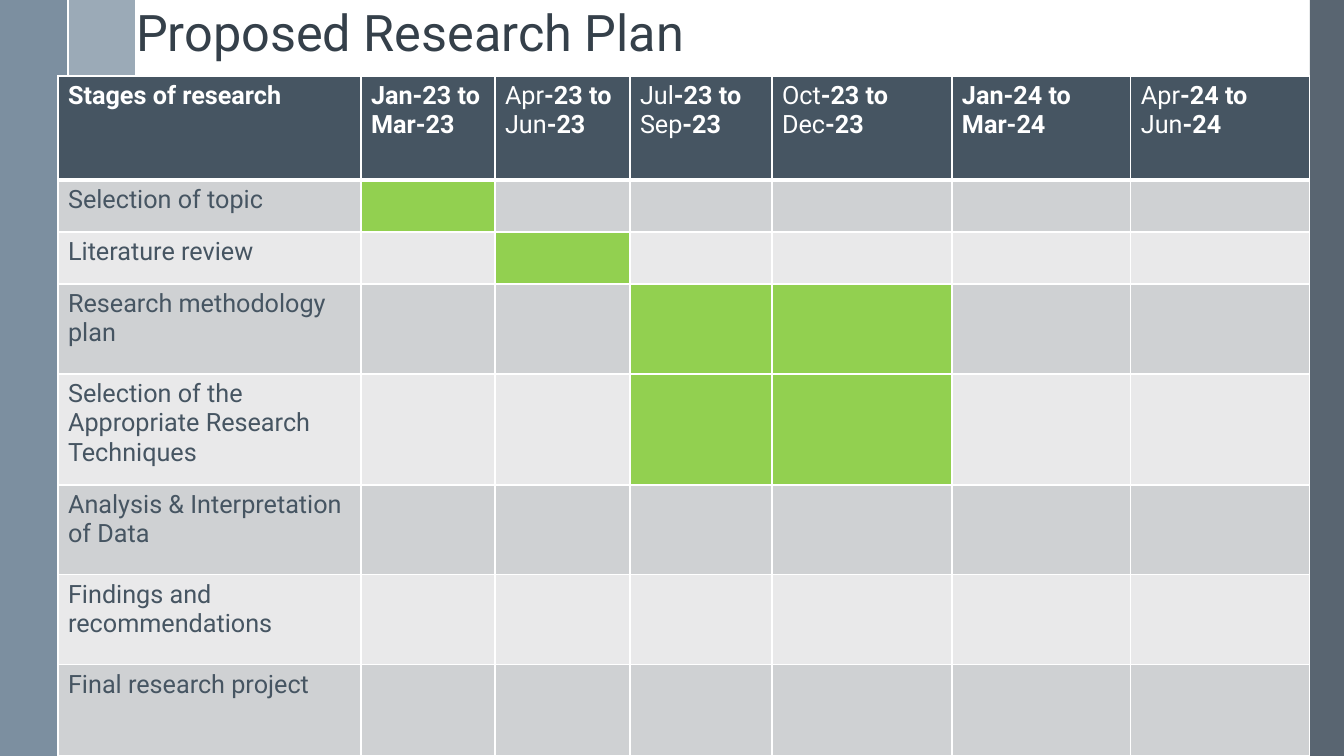
from lxml import etree
from pptx import Presentation
from pptx.dml.color import RGBColor
from pptx.enum.dml import MSO_THEME_COLOR
from pptx.enum.shapes import MSO_CONNECTOR, MSO_SHAPE
from pptx.enum.text import MSO_ANCHOR, MSO_AUTO_SIZE, PP_ALIGN
from pptx.oxml.ns import qn
from pptx.util import Pt

RECT = MSO_SHAPE.RECTANGLE
STRAIGHT = MSO_CONNECTOR.STRAIGHT
BOTTOM = MSO_ANCHOR.BOTTOM
LEFT = PP_ALIGN.LEFT
NO_FIT = MSO_AUTO_SIZE.NONE

SCALE = 914400 / 100.8  # EMU in one px
WIDE, HIGH = 1344, 756
FONT = "Roboto"

WHITE = RGBColor(0xFF, 0xFF, 0xFF)
INK = RGBColor(0x35, 0x40, 0x4A)
HEAD = RGBColor(0x46, 0x55, 0x62)
SLATE = RGBColor(0x47, 0x55, 0x62)
STEEL = RGBColor(0x6A, 0x80, 0x93)
MIST = RGBColor(0x9B, 0xAA, 0xB7)
DARK = RGBColor(0xCF, 0xD1, 0xD3)
LIGHT = RGBColor(0xE9, 0xE9, 0xEA)
GREEN = RGBColor(0x92, 0xD0, 0x50)

COLS = [303, 134, 135, 142, 180, 179, 179]
HEAD_HIGH = 104

# First month, last month, year
SPANS = [
    ("Jan", "Mar", 23), ("Apr", "Jun", 23), ("Jul", "Sep", 23),
    ("Oct", "Dec", 23), ("Jan", "Mar", 24), ("Apr", "Jun", 24),
]

# Stage, row height, columns in which it is active
STAGES = [
    ("Selection of topic", 52, [1]),
    ("Literature review", 52, [2]),
    ("Research methodology plan", 90, [3, 4]),
    ("Selection of the Appropriate Research Techniques", 111, [3, 4]),
    ("Analysis & Interpretation of Data", 90, []),
    ("Findings and recommendations", 90, []),
    ("Final research project", 91, []),
]


def px(num):
    return round(num * SCALE)


def style(run, size, color, bold=False):
    font = run.font
    font.name = FONT
    font.size = Pt(size)
    font.bold = bold
    font.color.rgb = color


def add_band(slide, left, width, color, alpha=100):
    band = slide.shapes.add_shape(RECT, px(left), 0, px(width), px(HIGH))
    band.shadow.inherit = False
    band.fill.solid()
    band.fill.fore_color.rgb = color
    band.line.fill.background()
    if alpha < 100:
        tint = band.fill._xPr.find(".//" + qn("a:srgbClr"))
        etree.SubElement(tint, qn("a:alpha"), val=str(alpha * 1000))


def add_rule(slide, left):
    rule = slide.shapes.add_connector(STRAIGHT, px(left), 0, px(left), px(HIGH))
    rule.line.color.rgb = WHITE
    rule.line.width = Pt(1.5)
    etree.SubElement(rule._element.spPr, qn("a:effectLst"))


def set_title(slide, text):
    title = slide.shapes.title
    title.left, title.top = px(126), px(-69)
    title.width, title.height = px(1079), px(137)
    frame = title.text_frame
    frame.text = text
    frame.word_wrap = True
    frame.auto_size = NO_FIT
    frame.vertical_anchor = BOTTOM
    para = frame.paragraphs[0]
    para.alignment = LEFT
    para.line_spacing = 0.9
    style(para.runs[0], 36, INK)


def set_cell(cell, fill, top=1, base=1):
    # Borders must come before the fill
    props = cell._tc.get_or_add_tcPr()
    for side, width in (("L", 1), ("R", 1), ("T", top), ("B", base)):
        edge = etree.SubElement(props, qn("a:ln" + side), w=str(Pt(width)))
        solid = etree.SubElement(edge, qn("a:solidFill"))
        etree.SubElement(solid, qn("a:srgbClr"), val=str(WHITE))
    cell.fill.solid()
    cell.fill.fore_color.rgb = fill


def add_parts(cell, parts, color):
    para = cell.text_frame.paragraphs[0]
    for text, bold in parts:
        run = para.add_run()
        run.text = text
        style(run, 18, color, bold)


def span_parts(first, last, year):
    # Only the January quarters have bold month names
    bold = first == "Jan"
    if bold:
        return [(f"{first}-{year} to {last}-{year}", True)]
    return [(first, bold), (f"-{year} to ", True), (last, bold), (f"-{year}", True)]


def add_plan(slide):
    highs = [HEAD_HIGH] + [high for _, high, _ in STAGES]
    frame = slide.shapes.add_table(
        len(highs), len(COLS), px(58), px(76), px(sum(COLS)), px(sum(highs)))
    table = frame.table
    table.horz_banding = False
    for col, width in zip(table.columns, COLS):
        col.width = px(width)
    for row, high in zip(table.rows, highs):
        row.height = px(high)

    # Header row
    heads = [[("Stages of research", True)]]
    heads += [span_parts(*span) for span in SPANS]
    for col, parts in enumerate(heads):
        cell = table.cell(0, col)
        set_cell(cell, HEAD, base=3)
        add_parts(cell, parts, WHITE)

    # Stage rows
    for row, (name, _, active) in enumerate(STAGES, 1):
        shade = DARK if row % 2 else LIGHT
        for col in range(len(COLS)):
            fill = GREEN if col in active else shade
            set_cell(table.cell(row, col), fill, top=3 if row == 1 else 1)
        add_parts(table.cell(row, 0), [(name, False)], HEAD)


def main():
    deck = Presentation()
    deck.slide_width, deck.slide_height = px(WIDE), px(HIGH)
    slide = deck.slides.add_slide(deck.slide_layouts[5])

    # Side bands
    add_band(slide, 1310, 34, SLATE, 90)
    add_band(slide, 67, 68, MIST)
    add_band(slide, 0, 67, STEEL, 88)
    add_rule(slide, 68)

    # Title and plan
    set_title(slide, "Proposed Research Plan")
    add_plan(slide)
    deck.save("out.pptx")


if __name__ == "__main__":
    main()
